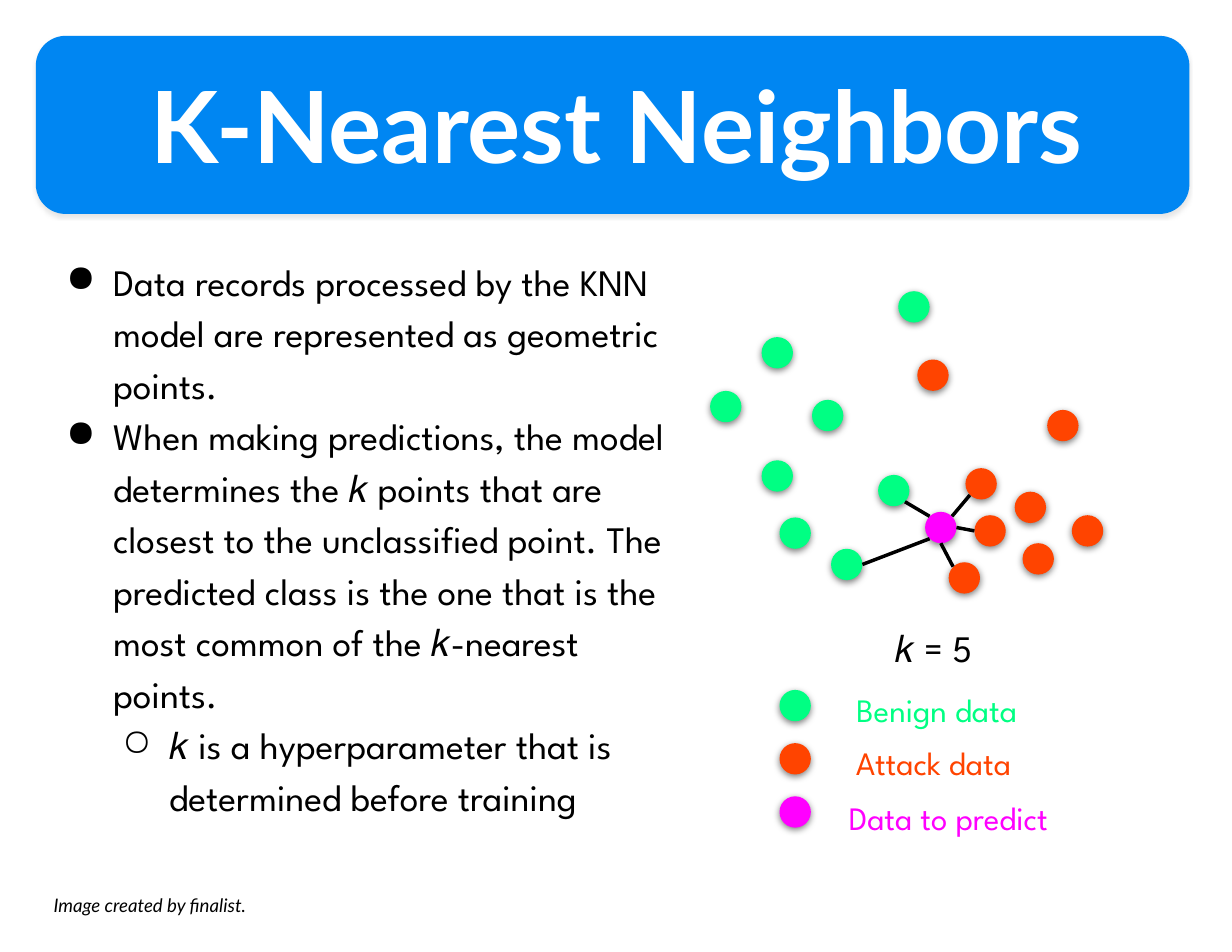
import lxml.etree
import pptx
import pptx.dml.color
import pptx.enum.shapes
import pptx.enum.text
import pptx.oxml
import pptx.oxml.ns
import pptx.util

RGBColor = pptx.dml.color.RGBColor
Shape = pptx.enum.shapes.MSO_SHAPE
Align = pptx.enum.text.PP_ALIGN
Anchor = pptx.enum.text.MSO_ANCHOR

BLACK = RGBColor(0x00, 0x00, 0x00)
WHITE = RGBColor(0xFF, 0xFF, 0xFF)
BLUE = RGBColor(0x00, 0x86, 0xF2)
BENIGN = RGBColor(0x00, 0xFF, 0x83)
ATTACK = RGBColor(0xFF, 0x44, 0x00)
PREDICT = RGBColor(0xFF, 0x00, 0xFF)

# The grid has square cells: positions and sizes count columns and rows.
COLUMNS, ROWS = 11, 8.5
CELL = pptx.util.Inches(1)
DOT = 0.28

BENIGN_DOTS = [(7.84, 4.24), (7.42, 4.9), (6.96, 4.62), (6.8, 4.11), (7.25, 3.57),
               (8.02, 2.6), (6.8, 3.01), (6.34, 3.49)]
ATTACK_DOTS = [(8.62, 4.18), (8.7, 4.6), (8.47, 5.02), (9.06, 4.39), (9.13, 4.85),
               (9.57, 4.6), (9.35, 3.66), (8.19, 3.21)]
PREDICT_DOTS = [(8.26, 4.57)]
NEIGHBOR_LINES = [((8.08, 4.48), (8.3, 4.61)), ((7.7, 5.04), (8.3, 4.81)),
                  ((8.51, 5.06), (8.4, 4.85)), ((8.7, 4.74), (8.54, 4.71)),
                  ((8.66, 4.42), (8.5, 4.61))]
LEGEND = [("Benign data", BENIGN, (7.38, 6.12, 1.97, 0.37), Align.CENTER),
          ("Attack data", ATTACK, (7.35, 6.6, 1.97, 0.37), Align.CENTER),
          ("Data to predict", PREDICT, (7.48, 7.09, 2.75, 0.37), Align.LEFT)]
POINTS = [
    (0, "Data records processed by the KNN model are represented as geometric points."),
    (0, "When making predictions, the model determines the 𝑘 points that are closest to "
        "the unclassified point. The predicted class is the one that is the most common "
        "of the 𝑘-nearest points."),
    (1, "𝑘 is a hyperparameter that is determined before training"),
]


def cells(*counts):
    return [round(count * CELL) for count in counts]


def add_text(p, text, font="League Spartan", size=24, color=BLACK, bold=False,
             italic=False, align=Align.LEFT, spacing=1.15):
    p.alignment = align
    p.line_spacing = spacing
    r = p.add_run()
    r.text = text
    r.font.name = font
    r.font.size = pptx.util.Pt(size)
    r.font.color.rgb = color
    r.font.bold = bold
    r.font.italic = italic


def add_bullet(p, level):
    p.level = level
    pPr = p._p.get_or_add_pPr()
    margin, indent = cells(0.5 * (level + 1), -0.42)
    pPr.set("marL", str(margin))
    pPr.set("indent", str(indent))
    color = lxml.etree.SubElement(pPr, pptx.oxml.ns.qn("a:buClr"))
    lxml.etree.SubElement(color, pptx.oxml.ns.qn("a:srgbClr"), val=str(BLACK))
    lxml.etree.SubElement(pPr, pptx.oxml.ns.qn("a:buChar"), char="●○"[level])


def add_shadow(sp, opacity, blur, distance):
    """Cast a black shadow straight down; opacity in percent, lengths in points."""
    sp.shadow.inherit = False
    effects = sp._element.spPr.find(pptx.oxml.ns.qn("a:effectLst"))
    effects.append(pptx.oxml.parse_xml(
        f'<a:outerShdw {pptx.oxml.ns.nsdecls("a")} blurRad="{pptx.util.Pt(blur)}" '
        f'dist="{pptx.util.Pt(distance)}" dir="5400000" algn="bl" rotWithShape="0">'
        f'<a:srgbClr val="{BLACK}"><a:alpha val="{opacity * 1000}"/></a:srgbClr>'
        '</a:outerShdw>'))


class SlideBuilder:
    """Holds the slide being drawn and the style of its elements."""

    line_width = pptx.util.Pt(2.25)

    def __init__(self, prs):
        self.s = prs.slides.add_slide(prs.slide_layouts[6])

    def shape(self, kind, box, color):
        sp = self.s.shapes.add_shape(kind, *cells(*box))
        sp.fill.solid()
        sp.fill.fore_color.rgb = color
        sp.line.fill.background()
        return sp

    def banner(self, box):
        sp = self.shape(Shape.ROUNDED_RECTANGLE, box, BLUE)
        sp.adjustments[0] = 0.167
        add_shadow(sp, 10, 2.2, 2.2)

    def dot(self, left, top, color):
        add_shadow(self.shape(Shape.OVAL, (left, top, DOT, DOT), color), 50, 4.5, 1.5)

    def line(self, start, end):
        connector = self.s.shapes.add_connector(
            pptx.enum.shapes.MSO_CONNECTOR.STRAIGHT, *cells(*start, *end))
        connector.line.color.rgb = BLACK
        connector.line.width = self.line_width
        lxml.etree.SubElement(connector._element.spPr, pptx.oxml.ns.qn("a:effectLst"))

    def frame(self, box, anchor=Anchor.TOP, inset=0.1):
        tf = self.s.shapes.add_textbox(*cells(*box)).text_frame
        tf.word_wrap = True
        tf.vertical_anchor = anchor
        margin, = cells(inset)
        tf.margin_left = tf.margin_right = tf.margin_top = tf.margin_bottom = margin
        return tf

    def label(self, text, box, anchor=Anchor.MIDDLE, inset=0.1, **style):
        add_text(self.frame(box, anchor, inset).paragraphs[0], text, **style)

    def bullets(self, points, box):
        tf = self.frame(box, inset=0.12)
        for i, (level, text) in enumerate(points):
            p = tf.add_paragraph() if i else tf.paragraphs[0]
            add_bullet(p, level)
            add_text(p, text)


def main():
    prs = pptx.Presentation()
    prs.slide_width, prs.slide_height = cells(COLUMNS, ROWS)
    slide = SlideBuilder(prs)

    slide.banner((0.32, 0.32, 10.3, 1.59))
    slide.label("K-Nearest Neighbors", (0.38, 0.3, 10.25, 1.61), inset=0.12, font="Lato",
                size=64, color=WHITE, bold=True, align=Align.CENTER, spacing=1.0)
    slide.bullets(POINTS, (0.39, 2.13, 5.8, 5.97))

    for dots, color in ((PREDICT_DOTS, PREDICT), (BENIGN_DOTS, BENIGN),
                        (ATTACK_DOTS, ATTACK)):
        for left, top in dots:
            slide.dot(left, top, color)
    for start, end in NEIGHBOR_LINES:
        slide.line(start, end)

    slide.label("𝑘 = 5", (7.53, 5.57, 1.61, 0.37), align=Align.CENTER)
    for i, (text, color, box, align) in enumerate(LEGEND):
        slide.dot(6.96, 6.16 + 0.475 * i, color)
        slide.label(text, box, size=21, color=color, align=align)
    slide.label("Image created by finalist.", (0.38, 7.88, 3.12, 0.28), anchor=Anchor.TOP,
                font="Lato", size=12, italic=True, spacing=1.0)

    prs.save("out.pptx")


if __name__ == "__main__":
    main()
